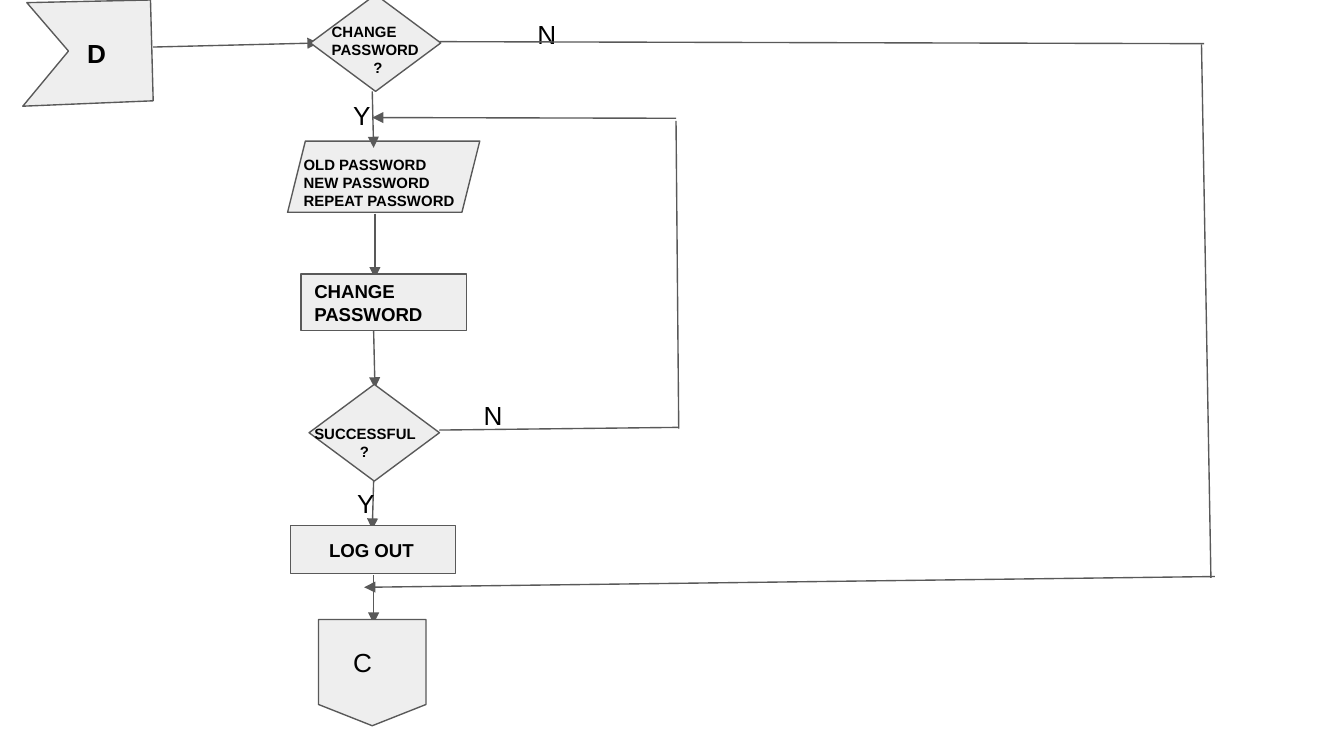
from lxml import etree
from pptx import Presentation
from pptx.dml.color import RGBColor
from pptx.enum.shapes import MSO_CONNECTOR as CONN, MSO_SHAPE as SHAPE
from pptx.enum.text import MSO_ANCHOR as ANCHOR, PP_ALIGN as ALIGN
from pptx.oxml.ns import qn
from pptx.util import Inches, Pt

COLORS = {"fill": "EEEEEE", "line": "595959", "text": "000000"}
FONT = "Arial"
CELL = 0.1  # grid of 100 columns by 56.2 rows


def cells(*values):
    return [Inches(v * CELL) for v in values]


def rgb(name):
    return RGBColor.from_string(COLORS[name])


def outline(sp):
    sp.line.color.rgb = rgb("line")
    sp.line.width = Pt(0.75)


def paint(sp):
    sp.shadow.inherit = False
    sp.fill.solid()
    sp.fill.fore_color.rgb = rgb("fill")
    outline(sp)


def add_text(sp, text, size=14, bold=False, anchor=ANCHOR.TOP, indents=()):
    """Write one paragraph per line; indents are in columns."""
    tf = sp.text_frame
    tf.word_wrap = True
    tf.vertical_anchor = anchor
    tf.margin_left = tf.margin_right = tf.margin_top = tf.margin_bottom = Inches(0.1)
    for i, line in enumerate(text.split("\n")):
        p = tf.paragraphs[0] if i == 0 else tf.add_paragraph()
        p.alignment = ALIGN.LEFT
        if i < len(indents):
            p._p.get_or_add_pPr().set("marL", str(Inches(indents[i] * CELL)))
        r = p.add_run()
        r.text = line
        r.font.name, r.font.size, r.font.bold = FONT, Pt(size), bold
        r.font.color.rgb = rgb("text")


def node(slide, kind, x, y, w, h, text=None, **fmt):
    sp = slide.shapes.add_shape(kind, *cells(x, y, w, h))
    paint(sp)
    if text:
        add_text(sp, text, anchor=ANCHOR.MIDDLE, **fmt)
    return sp


def label(slide, text, x, y, w, h=4.3, **fmt):
    add_text(slide.shapes.add_textbox(*cells(x, y, w, h)), text, **fmt)


def link(slide, x1, y1, x2, y2, arrow=True):
    cn = slide.shapes.add_connector(CONN.STRAIGHT, *cells(x1, y1, x2, y2))
    outline(cn)
    etree.SubElement(cn._element.spPr, qn("a:effectLst"))
    if arrow:
        etree.SubElement(cn.line._get_or_add_ln(), qn("a:tailEnd"), type="triangle")


def entry(slide, x, y):
    """Connector D and its arrow into the flow."""
    points = [(9.5, 0), (0.3, 0.2), (3.4, 3.8), (0, 7.9), (9.7, 7.5)]
    start, *rest = [cells(x + px, y + py) for px, py in points]
    fb = slide.shapes.build_freeform(*start)
    fb.add_line_segments(rest, close=True)
    paint(fb.convert_to_shape())
    link(slide, x + 9.7, y + 3.5, x + 22, y + 3.2)
    label(slide, "D", x + 3.8, y + 1.8, 3.4, bold=True)


def change_check(slide, x, y):
    """First decision."""
    node(slide, SHAPE.DIAMOND, x, y, 9.7, 7.2)
    label(slide, "CHANGE PASSWORD\n?", x + 0.6, y + 1.1, 12.3, 6,
          size=8, bold=True, indents=(0, 3.1))
    label(slide, "Y", x + 2.2, y + 6.8, 10.7)
    label(slide, "N", x + 15.9, y + 0.8, 6.1)


def password_form(slide, x, y):
    """Password input, with the arrows in and out."""
    node(slide, SHAPE.PARALLELOGRAM, x, y, 14.3, 5.3)
    label(slide, "OLD PASSWORD\nNEW PASSWORD\nREPEAT PASSWORD",
          x + 0.2, y + 0.1, 28.9, 6, size=8, bold=True)
    link(slide, x + 6.3, y - 3.7, x + 6.4, y + 0.5)
    link(slide, x + 6.5, y + 5.4, x + 6.5, y + 10.2)


def change_step(slide, x, y):
    """Change process and the arrow out."""
    node(slide, SHAPE.RECTANGLE, x, y, 12.3, 4.2, "CHANGE\nPASSWORD", size=10, bold=True)
    link(slide, x + 5.4, y + 4.2, x + 5.5, y + 8.5)


def success_check(slide, x, y):
    """Second decision, with the retry loop."""
    node(slide, SHAPE.DIAMOND, x, y, 9.7, 7.2)
    label(slide, "SUCCESSFUL\n?", x - 0.6, y + 2, 10.7, 4.7,
          size=8, bold=True, indents=(0, 3.4))
    link(slide, x + 4.8, y + 7.2, x + 4.7, y + 10.8)
    label(slide, "Y", x + 2.6, y + 6.7, 4.3)
    link(slide, x + 9.7, y + 3.4, x + 27.5, y + 3.2, arrow=False)
    link(slide, x + 27.5, y + 3.3, x + 27.3, y - 19.6, arrow=False)
    link(slide, x + 27.3, y - 19.8, x + 4.7, y - 19.85)
    label(slide, "N", x + 12, y + 0.1, 8.5)


def ending(slide, x, y):
    """Log out and connector C."""
    node(slide, SHAPE.RECTANGLE, x, y, 12.3, 3.6, "LOG OUT",
         size=10, bold=True, indents=(1.9,))
    link(slide, x + 6.2, y + 3.7, x + 6.2, y + 7.3)
    node(slide, SHAPE.FLOWCHART_OFFPAGE_CONNECTOR, x + 2.1, y + 7, 8, 7.9,
         "C", indents=(1.6,))


def bypass(slide, x, y):
    """Route that skips the password change."""
    link(slide, x, y, x + 56.9, y + 0.15, arrow=False)
    link(slide, x + 56.7, y + 0.2, x + 57.4, y + 39.9, arrow=False)
    link(slide, x + 57.7, y + 39.8, x - 5.6, y + 40.6)


def main():
    prs = Presentation()
    prs.slide_width, prs.slide_height = cells(100, 56.25)
    slide = prs.slides.add_slide(prs.slide_layouts[6])
    entry(slide, 1.7, 0)
    change_check(slide, 23.1, -0.4)
    password_form(slide, 21.4, 10.5)
    change_step(slide, 22.4, 20.4)
    success_check(slide, 23, 28.6)
    ending(slide, 21.6, 39.1)
    bypass(slide, 32.7, 3.1)
    prs.save("out.pptx")


if __name__ == "__main__":
    main()
